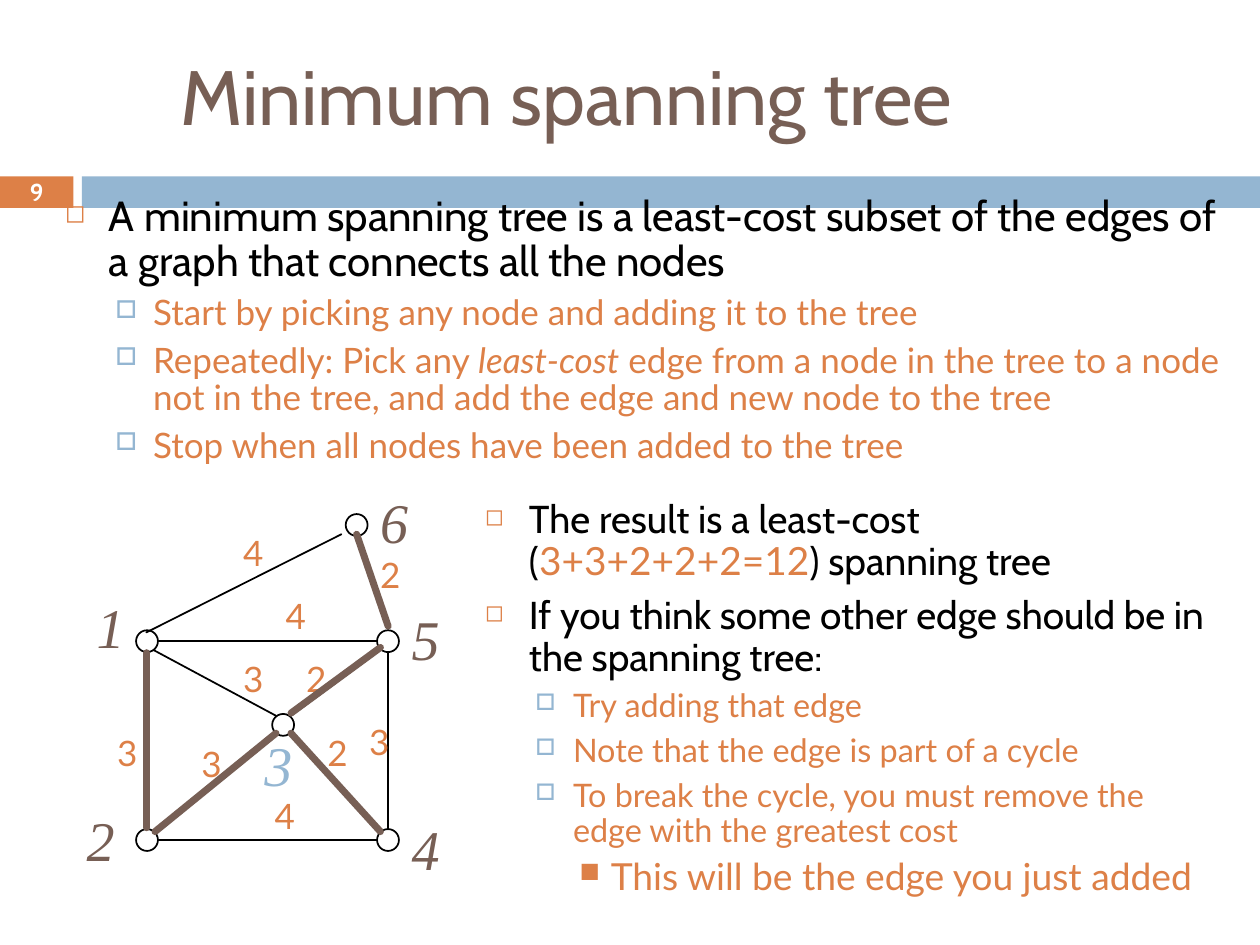
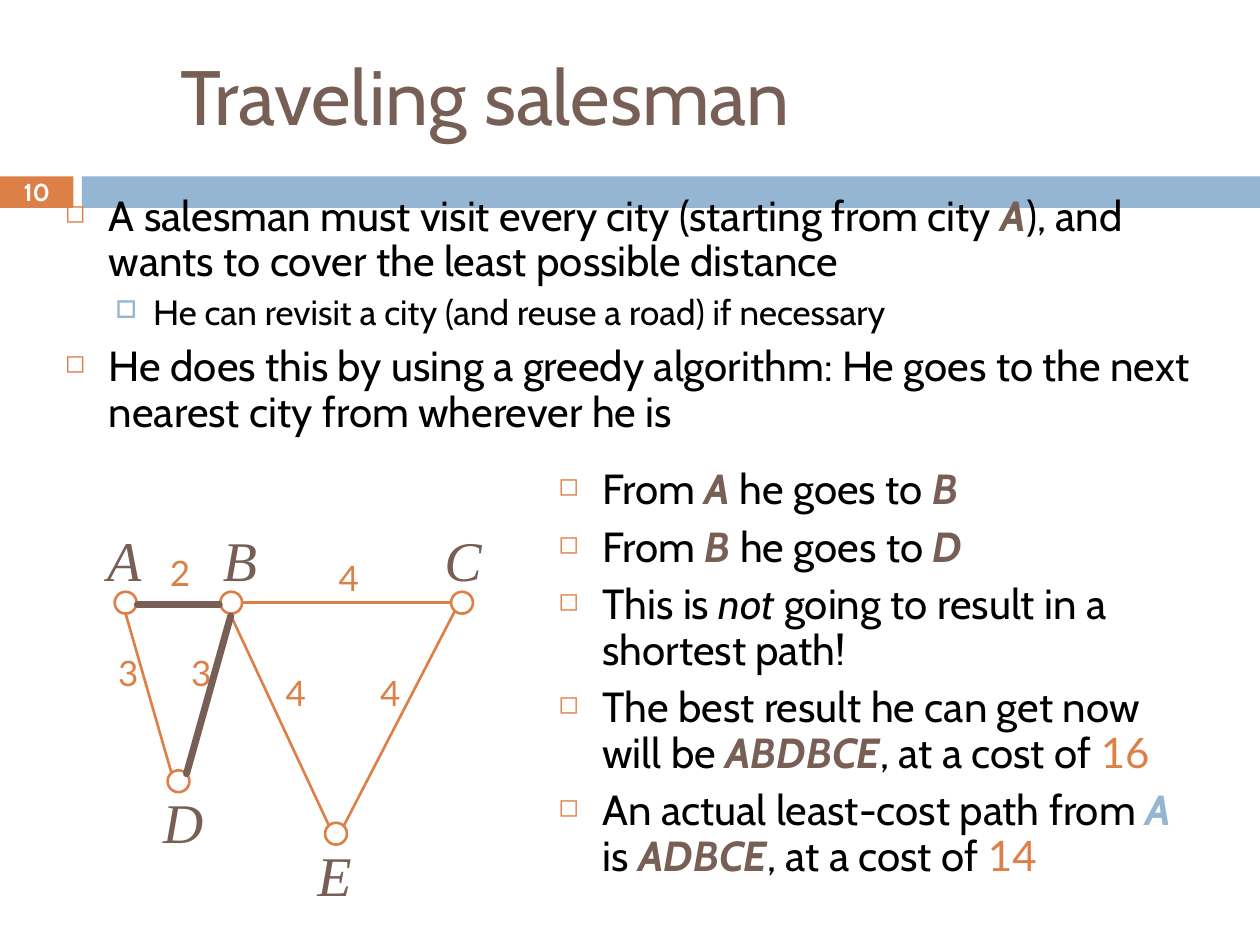
from dataclasses import dataclass
from typing import NamedTuple

from lxml.etree import SubElement
from pptx import Presentation
from pptx.dml.color import RGBColor
from pptx.enum.shapes import MSO_CONNECTOR, MSO_SHAPE
from pptx.enum.text import MSO_ANCHOR, MSO_AUTO_SIZE, PP_ALIGN
from pptx.oxml.ns import qn
from pptx.util import Pt

ORANGE, BLUE, BROWN = "DD8047", "94B6D2", "775F55"
BLACK, WHITE = "000000", "FFFFFF"
NODE_SIZE = 12.5

PLAIN = {"name": "Cabin", "color": BLACK}
SLANTED = {**PLAIN, "italic": True}
CITY = {**SLANTED, "color": BROWN, "bold": True}
START_CITY = {**CITY, "color": BLUE}
COST = {"name": "Lato", "color": ORANGE}
SLANTED_COST = {**COST, "italic": True}
NODE_NAME = {"name": "Times New Roman", "color": BROWN, "italic": True}
TITLE = {"name": "Cabin", "color": BROWN}
PAGE_NUMBER = {"name": "Cabin", "color": WHITE, "bold": True}


class Level(NamedTuple):
    margin: float
    hanging: float
    space_before: float
    bullet: str
    bullet_color: str
    bullet_percent: int


LEVELS = (
    Level(25.2, 25.2, 7, "\u25fb", ORANGE, 60),
    Level(50.4, 21.6, 5.5, "\u25a1", BLUE, 70),
    Level(72, 18, 5, "\u25a0", ORANGE, 75),
)


class Run(NamedTuple):
    text: str
    look: dict = PLAIN


class Point(NamedTuple):
    level: int
    size: float
    runs: tuple


class Area(NamedTuple):
    left: float
    top: float
    width: float
    height: float


class Label(NamedTuple):
    text: str
    left: float
    top: float
    look: dict = NODE_NAME


class Edge(NamedTuple):
    start_x: float
    start_y: float
    end_x: float
    end_y: float


@dataclass
class Graph:
    color: str
    line_width: float
    nodes: list
    edges: list
    chosen: list
    names: list
    costs: list
    name_width: float
    cost_width: float
    centred: bool


@dataclass
class Lesson:
    number: int
    title: str
    outlines: list
    graph: Graph


def rgb(value):
    return RGBColor.from_string(value)


def place(area: Area) -> tuple:
    return tuple(Pt(length) for length in area)


def write(paragraph, text: str, size: float, look: dict):
    run = paragraph.add_run()
    run.text = text
    run.font.size = Pt(size)
    for key, value in look.items():
        if key == "color":
            run.font.color.rgb = rgb(value)
        else:
            setattr(run.font, key, value)


def draw_band(slide, area: Area, color: str):
    band = slide.shapes.add_shape(MSO_SHAPE.RECTANGLE, *place(area))
    band.shadow.inherit = False
    band.fill.solid()
    band.fill.fore_color.rgb = rgb(color)
    band.line.fill.background()
    return band


def draw_frame(slide, number: int, title: str):
    heading = slide.shapes.title
    heading.left, heading.top, heading.width, heading.height = place(Area(95.8, 24, 613.4, 60))
    frame = heading.text_frame
    settings = {"vertical_anchor": MSO_ANCHOR.MIDDLE, "auto_size": MSO_AUTO_SIZE.NONE, "word_wrap": True}
    for key, value in settings.items():
        setattr(frame, key, value)
    frame.paragraphs[0].alignment = PP_ALIGN.LEFT
    write(frame.paragraphs[0], title, 44, TITLE)

    draw_band(slide, Area(46.8, 100.8, 673.2, 18), BLUE)
    tab = draw_band(slide, Area(0, 100.8, 42, 18), ORANGE).text_frame
    for side in ("margin_left", "margin_top", "margin_right", "margin_bottom"):
        setattr(tab, side, Pt(0))
    tab.vertical_anchor = MSO_ANCHOR.MIDDLE
    tab.paragraphs[0].alignment = PP_ALIGN.CENTER
    write(tab.paragraphs[0], str(number), 14, PAGE_NUMBER)


def add_bullet(paragraph, level: Level):
    properties = paragraph._p.get_or_add_pPr()
    properties.set("marL", str(Pt(level.margin)))
    properties.set("indent", str(-Pt(level.hanging)))
    tint = SubElement(properties, qn("a:buClr"))
    SubElement(tint, qn("a:srgbClr")).set("val", level.bullet_color)
    SubElement(properties, qn("a:buSzPct")).set("val", str(level.bullet_percent * 1000))
    SubElement(properties, qn("a:buChar")).set("char", level.bullet)


def draw_outline(slide, area: Area, points: list):
    frame = slide.shapes.add_textbox(*place(area)).text_frame
    frame.word_wrap = True
    for index, point in enumerate(points):
        paragraph = frame.add_paragraph() if index else frame.paragraphs[0]
        level = LEVELS[point.level]
        settings = {"level": point.level, "line_spacing": 0.9, "space_before": Pt(level.space_before)}
        for key, value in settings.items():
            setattr(paragraph, key, value)
        add_bullet(paragraph, level)
        for run in point.runs:
            write(paragraph, run.text, point.size, run.look)


def draw_label(slide, label: Label, width: float, height: float, size: float, centred: bool):
    area = Area(label.left, label.top, width, height)
    frame = slide.shapes.add_textbox(*place(area)).text_frame
    settings = {
        "word_wrap": not centred,
        "auto_size": MSO_AUTO_SIZE.SHAPE_TO_FIT_TEXT,
        "vertical_anchor": MSO_ANCHOR.MIDDLE if centred else MSO_ANCHOR.TOP,
    }
    for key, value in settings.items():
        setattr(frame, key, value)
    frame.paragraphs[0].alignment = PP_ALIGN.CENTER if centred else PP_ALIGN.LEFT
    write(frame.paragraphs[0], label.text, size, label.look)


def draw_edge(slide, edge: Edge, color: str, width: float):
    link = slide.shapes.add_connector(MSO_CONNECTOR.STRAIGHT, *(Pt(end) for end in edge))
    link.line.color.rgb = rgb(color)
    link.line.width = Pt(width)
    link.line._ln.set("cap", "rnd")
    SubElement(link._element.spPr, qn("a:effectLst"))


def draw_graph(slide, graph: Graph):
    for x, y in graph.nodes:
        corner = (x - NODE_SIZE / 2, y - NODE_SIZE / 2)
        node = slide.shapes.add_shape(MSO_SHAPE.OVAL, *place(Area(*corner, NODE_SIZE, NODE_SIZE)))
        node.shadow.inherit = False
        node.fill.background()
        node.line.color.rgb = rgb(graph.color)
        node.line.width = Pt(graph.line_width)
    for edge in graph.edges:
        draw_edge(slide, edge, graph.color, graph.line_width)
    for name in graph.names:
        draw_label(slide, name, graph.name_width, 45.4, 32, graph.centred)
    for cost in graph.costs:
        draw_label(slide, cost, graph.cost_width, 31, 20, graph.centred)
    for edge in graph.chosen:
        draw_edge(slide, edge, BROWN, 4)


def costs_at(*values) -> list:
    return [Label(str(cost), left, top, COST) for cost, left, top in values]


tree_graph = Graph(
    color=BLACK, line_width=1,
    nodes=[(84, 366.4), (84, 480), (161.8, 414.2), (221.7, 480), (221.7, 366.4), (203.8, 300)],
    edges=[
        Edge(83.6, 373, 83.6, 473.8), Edge(90.7, 480.2, 215.3, 480.2),
        Edge(221.8, 473.8, 221.8, 373), Edge(90.7, 366.5, 215.3, 366.5),
        Edge(83.6, 361.4, 195.1, 305.3), Edge(203.8, 306.7, 221.8, 359.3),
        Edge(87.8, 371.5, 157.7, 409), Edge(166.3, 409, 217.4, 371.5),
        Edge(157.7, 419, 87.8, 475.2), Edge(166.3, 419, 217.4, 475.2),
    ],
    chosen=[
        Edge(84, 373, 84, 473), Edge(88.6, 475.2, 157.7, 419),
        Edge(166.3, 419, 217.4, 475.2), Edge(166.3, 407.5, 217.4, 370),
        Edge(221.8, 357.8, 203.8, 305.3),
    ],
    names=[
        Label("1", 48.2, 334.8), Label("2", 42.5, 456.5),
        Label("3", 144, 414, {**NODE_NAME, "color": BLUE}),
        Label("4", 228.2, 462.2), Label("5", 228.2, 342), Label("6", 210.2, 275),
    ],
    costs=costs_at(
        (3, 59.8, 414.7), (3, 108, 420.5), (3, 131.8, 372.2), (3, 203.8, 408.2),
        (2, 167.8, 372.2), (2, 180, 414.7), (2, 210.2, 312.5),
        (4, 149.8, 450.7), (4, 131.8, 300.2), (4, 156.2, 336.2),
    ),
    name_width=36, cost_width=18, centred=False,
)

city_graph = Graph(
    color=ORANGE, line_width=1.5,
    nodes=[(71.8, 344.4), (132.1, 344.4), (264, 344.4), (102, 446.4), (192, 476.4)],
    edges=[
        Edge(78.5, 344.4, 126, 344.4), Edge(72, 351.4, 97.9, 441.4),
        Edge(106.6, 441.4, 131.8, 351.4), Edge(131.8, 351.4, 187.9, 471.6),
        Edge(139, 344.4, 257, 344.4), Edge(259.9, 349.2, 196.6, 471.6),
    ],
    chosen=[Edge(78.5, 345.6, 125.3, 345.6), Edge(131.8, 352.1, 106.6, 442.1)],
    names=[
        Label("A", 54, 296.6), Label("B", 120.2, 296.6), Label("C", 246.9, 296.6),
        Label("D", 86, 446.4), Label("E", 174.2, 476.6),
    ],
    costs=costs_at(
        (2, 90, 311.8), (3, 60.5, 368.6), (3, 102.2, 368.6),
        (4, 186.5, 314.6), (4, 156.2, 380.2), (4, 210.2, 380.2),
    ),
    name_width=34, cost_width=24.5, centred=True,
)

lessons = [
    Lesson(9, "Minimum spanning tree", [
        (Area(30, 108, 675.4, 172.8), [
            Point(0, 24, (Run("A minimum spanning tree is a least-cost subset of the edges of a graph "
                              "that connects all the nodes"),)),
            Point(1, 20, (Run("Start by picking any node and adding it to the tree", COST),)),
            Point(1, 20, (Run("Repeatedly: Pick any ", COST), Run("least-cost", SLANTED_COST),
                          Run(" edge from a node in the tree to a node not in the tree, "
                              "and add the edge and new node to the tree", COST))),
            Point(1, 20, (Run("Stop when all nodes have been added to the tree", COST),)),
        ]),
        (Area(270, 282.2, 432, 246.2), [
            Point(0, 22.2, (Run("The result is a least-cost ("), Run("3+3+2+2+2=12", COST),
                            Run(") spanning tree"))),
            Point(0, 22.2, (Run("If you think some other edge should be in the spanning tree:"),)),
            Point(1, 18.5, (Run("Try adding that edge", COST),)),
            Point(1, 18.5, (Run("Note that the edge is part of a cycle", COST),)),
            Point(1, 18.5, (Run("To break the cycle, you must remove the edge with the greatest cost", COST),)),
            Point(2, 21.3, (Run("This will be the edge you just added", COST),)),
        ]),
    ], tree_graph),
    Lesson(10, "Traveling salesman", [
        (Area(30, 108, 675.4, 154.8), [
            Point(0, 24, (Run("A salesman must visit every city (starting from city "), Run("A", CITY),
                          Run("), and wants to cover the least possible distance"))),
            Point(1, 20, (Run("He can revisit a city (and reuse a road) if necessary"),)),
            Point(0, 24, (Run("He does this by using a greedy algorithm: He goes to the next nearest "
                              "city from wherever he is"),)),
        ]),
        (Area(312, 264.2, 372.2, 252), [
            *(Point(0, 24, (Run("From "), Run(start, CITY), Run(" he goes to "), Run(end, CITY)))
              for start, end in ("AB", "BD")),
            Point(0, 24, (Run("This is "), Run("not", SLANTED), Run(" going to result in a shortest path!"))),
            Point(0, 24, (Run("The best result he can get now will be "), Run("ABDBCE", CITY),
                          Run(", at a cost of "), Run("16", COST))),
            Point(0, 24, (Run("An actual least-cost path from "), Run("A", START_CITY), Run(" is "),
                          Run("ADBCE", CITY), Run(", at a cost of "), Run("14", COST))),
        ]),
    ], city_graph),
]

deck = Presentation()
deck.slide_width, deck.slide_height = Pt(720), Pt(540)
for lesson in lessons:
    page = deck.slides.add_slide(deck.slide_layouts[5])
    draw_frame(page, lesson.number, lesson.title)
    for region, outline in lesson.outlines:
        draw_outline(page, region, outline)
    draw_graph(page, lesson.graph)
deck.save("out.pptx")
